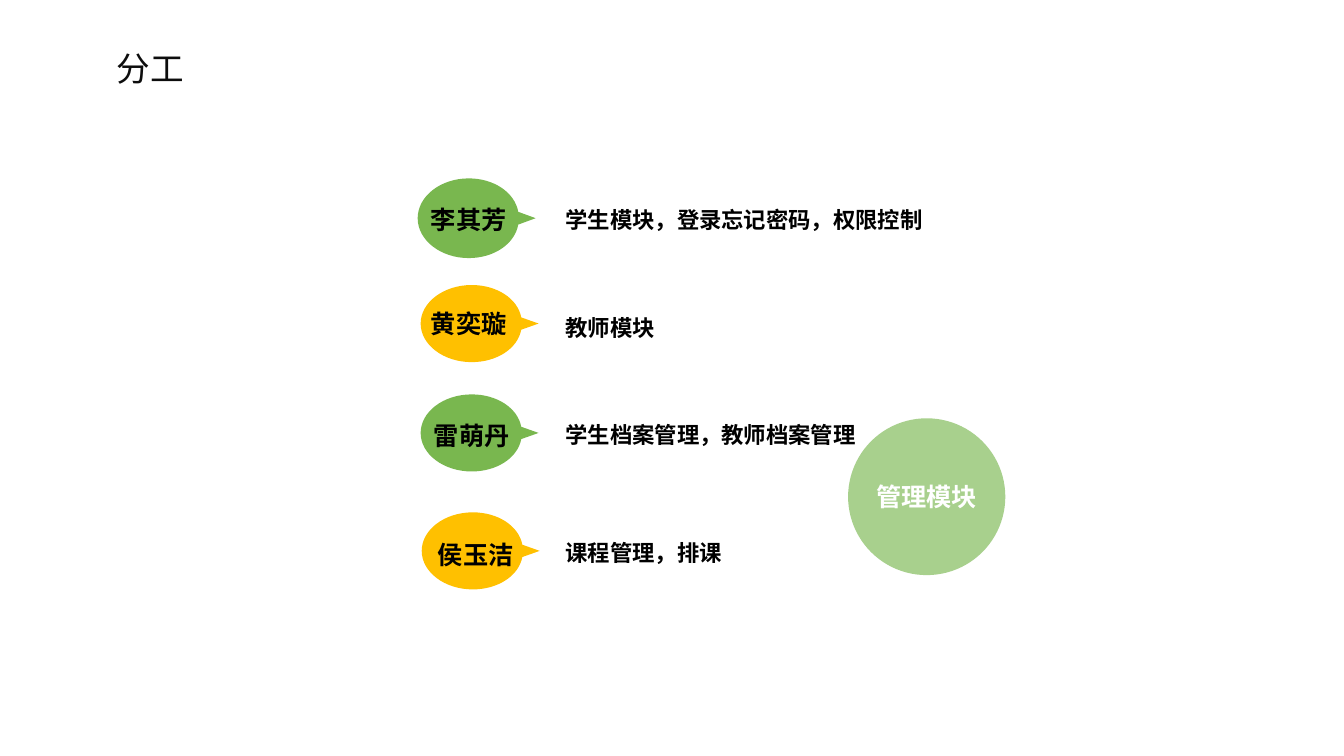
from lxml import etree
from pptx import Presentation
from pptx.dml.color import RGBColor
from pptx.enum.shapes import MSO_SHAPE
from pptx.enum.text import MSO_AUTO_SIZE, PP_ALIGN
from pptx.oxml.ns import qn
from pptx.util import Inches, Pt

OVAL = MSO_SHAPE.OVAL
GROW = MSO_AUTO_SIZE.SHAPE_TO_FIT_TEXT
LEFT, CENTER = PP_ALIGN.LEFT, PP_ALIGN.CENTER
GREEN, AMBER, PALE = "79B74F", "FFC000", "A8D08D"
BLACK, INK, WHITE = "000000", "0D0D0D", "FFFFFF"

prs = Presentation()
prs.slide_width, prs.slide_height = Inches(13.33), Inches(7.5)
s = prs.slides.add_slide(prs.slide_layouts[6])

# Grid of 100 columns by 100 rows
COL, ROW = prs.slide_width / 100, prs.slide_height / 100


def paint(sp, color):
    sp.shadow.inherit = False
    sp.fill.solid()
    sp.fill.fore_color.rgb = RGBColor.from_string(color)
    sp.line.fill.background()


def add_text(text, x, y, w, h, size, color, align=LEFT, bold=True, font="Calibri", wrap=True):
    tb = s.shapes.add_textbox(int(x * COL), int(y * ROW), int(w * COL), int(h * ROW))
    tf = tb.text_frame
    tf.word_wrap, tf.auto_size = wrap, GROW
    p = tf.paragraphs[0]
    p.alignment = align
    r = p.add_run()
    r.text = text
    r.font.size, r.font.bold, r.font.name = Pt(size), bold, font
    r.font.color.rgb = RGBColor.from_string(color)
    etree.SubElement(r.font._element, qn("a:ea"), typeface=font)


# Title
add_text("分工", 7.95, 5.73, 6.6, 6.67, 24, INK, bold=False, font="Noto Sans CJK SC", wrap=False)

# Bubble outline in radii from its centre: each step ends at its last point,
# and a step of three points is a curve
bubble = [
    [(-0.55, 1), (-1, 0.55), (-1, 0)],
    [(-1, -0.55), (-0.55, -1), (0, -1)],
    [(0.49, -1), (0.9, -0.65), (0.97, -0.16)],
    [(1.31, 0)],
    [(0.97, 0.16)],
    [(0.9, 0.65), (0.49, 1), (0, 1)],
]
RX = 3.8

# Members: name, colour, bubble centre and half height, name left, top and width
members = [
    ("李其芳", GREEN, 34.88, 28.87, 5.27, 31.28, 26.4, 7.2),
    ("黄奕璇", AMBER, 35.1, 42.8, 5.1, 30.3, 40.13, 9.15),
    ("雷萌丹", GREEN, 35.1, 57.27, 5.1, 31.5, 54.93, 7.2),
    ("侯玉洁", AMBER, 35.18, 72.87, 5.1, 31.5, 70.67, 7.8),
]
for name, color, cx, cy, ry, x, y, w in members:
    steps = [[(int((cx + RX * u) * COL), int((cy + ry * v) * ROW)) for u, v in step]
             for step in bubble]
    fb = s.shapes.build_freeform(*steps[-1][-1])
    fb.add_line_segments([step[-1] for step in steps], close=True)
    sp = fb.convert_to_shape()
    paint(sp, color)

    # Bend the straight segments that are curves
    for line, step in zip(list(sp._element.iter(qn("a:lnTo"))), steps):
        if len(step) == 3:
            curve = etree.Element(qn("a:cubicBezTo"))
            for px, py in step:
                etree.SubElement(curve, qn("a:pt"), x=str(px - sp.left), y=str(py - sp.top))
            line.getparent().replace(line, curve)

    add_text(name, x, y, w, 5.33, 18, BLACK, CENTER)

# Duties
duties = [
    ("学生模块，登录忘记密码，权限控制", 26.67, 28.73),
    ("教师模块", 40.93, 28.73),
    ("学生档案管理，教师档案管理", 55.07, 28.73),
    ("课程管理，排课", 70.67, 19.88),
]
for duty, y, w in duties:
    add_text(duty, 41.33, y, w, 4.93, 16, BLACK)

# Shared module
sp = s.shapes.add_shape(OVAL, int(63.1 * COL), int(55.33 * ROW), int(11.7 * COL), int(20.75 * ROW))
paint(sp, PALE)
add_text("管理模块", 64.38, 63.07, 9.15, 5.33, 18, WHITE, CENTER)

prs.save("out.pptx")
